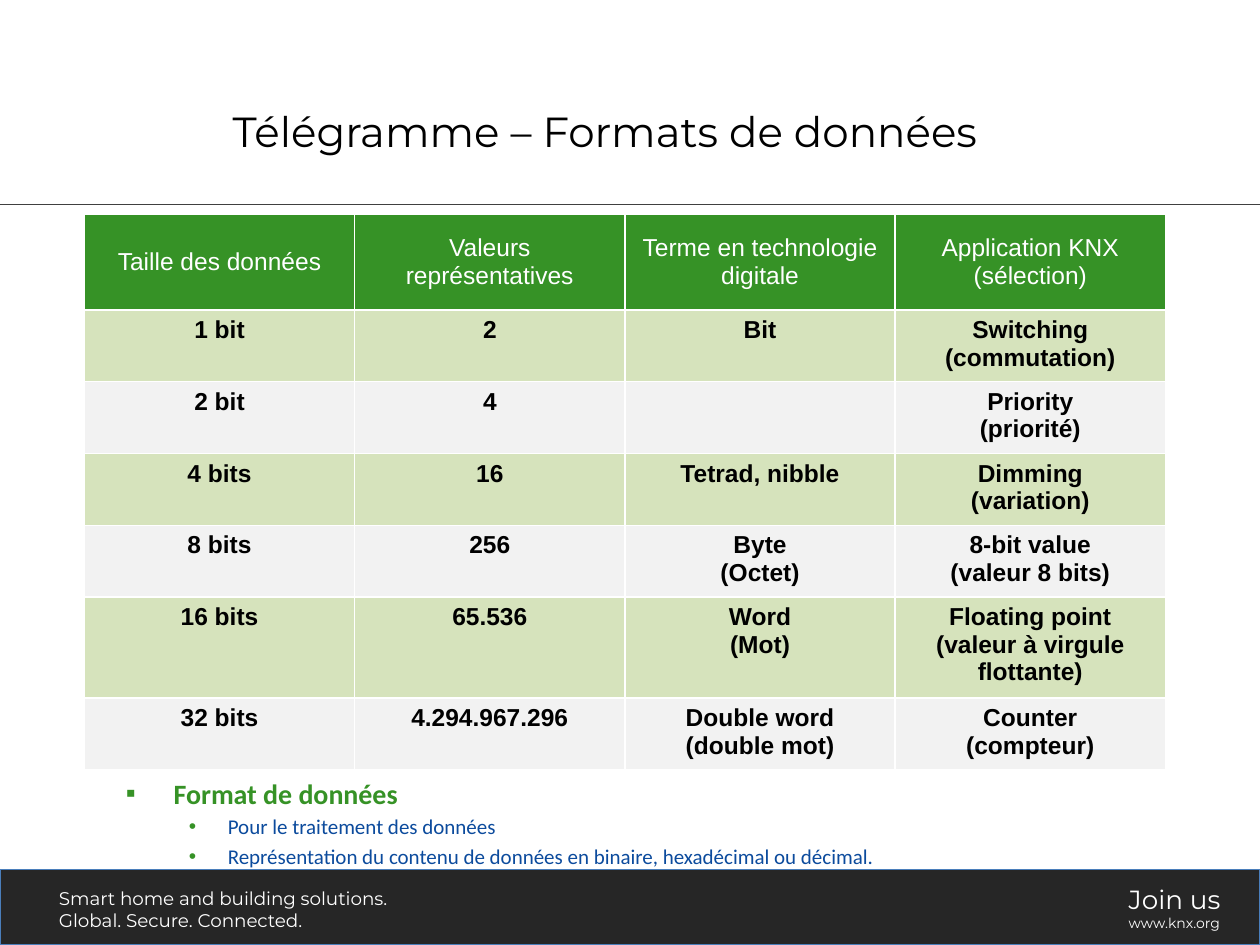
import pptx
import pptx.dml.color
import pptx.enum.shapes
import pptx.enum.text
import pptx.oxml
import pptx.oxml.ns
import pptx.util
from pptx.util import Inches

GREEN, BLUE, WHITE, BLACK = "369226", "0C4B9D", "FFFFFF", "000000"
BANDS = ("D6E3BC", "F2F2F2")
CENTER = pptx.enum.text.PP_ALIGN.CENTER
MIDDLE = pptx.enum.text.MSO_ANCHOR.MIDDLE

HEADER = ("Taille des données", "Valeurs représentatives",
          "Terme en technologie digitale", "Application KNX\n(sélection)")
ROWS = (
    ("1 bit", "2", "Bit", "Switching (commutation)"),
    ("2 bit", "4", "", "Priority\n(priorité)"),
    ("4 bits", "16", "Tetrad, nibble", "Dimming\n(variation)"),
    ("8 bits", "256", "Byte\n(Octet)", "8-bit value\n(valeur 8 bits)"),
    ("16 bits", "65.536", "Word\n(Mot)", "Floating point\n(valeur à virgule flottante)"),
    ("32 bits", "4.294.967.296", "Double word\n(double mot)", "Counter\n(compteur)"),
)
ROW_HEIGHTS = (0.76, 0.57, 0.57, 0.57, 0.57, 0.8, 0.57)


def rgb(value):
    return pptx.dml.color.RGBColor.from_string(value)


def xml(markup):
    """Parse an element of the DrawingML namespace."""
    tag, rest = markup[1:].split(" ", 1)
    return pptx.oxml.parse_xml(f"<{tag} {pptx.oxml.ns.nsdecls('a')} {rest}")


def set_font(p, name, size, color, bold=False):
    values = {"name": name, "size": pptx.util.Pt(size), "bold": bold}
    for r in p.runs:
        for key, value in values.items():
            setattr(r.font, key, value)
        r.font.color.rgb = rgb(color)


def add_text(s, box, lines):
    """Add a text box; each line is (text, font name, size, colour[, bold])."""
    tf = s.shapes.add_textbox(*map(Inches, box)).text_frame
    tf.word_wrap = True
    for i, (text, *font) in enumerate(lines):
        p = tf.paragraphs[0] if i == 0 else tf.add_paragraph()
        p.text = text
        set_font(p, *font)
    return tf


def add_rule(s, y, width):
    line = s.shapes.add_connector(pptx.enum.shapes.MSO_CONNECTOR.STRAIGHT,
                                  0, Inches(y), Inches(width), Inches(y))
    line.line.color.rgb = rgb("404040")
    line.line.width = pptx.util.Pt(0.5)
    line._element.spPr.append(xml("<a:effectLst />"))


def add_footer(s, left, top, width, height):
    bar = s.shapes.add_shape(pptx.enum.shapes.MSO_SHAPE.RECTANGLE,
                             *map(Inches, (left, top, width, height)))
    bar.shadow.inherit = False
    bar.fill.solid()
    bar.fill.fore_color.rgb = rgb("262626")
    bar.line.color.rgb = rgb("4A7EBB")
    bar.line.width = pptx.util.Pt(0.75)
    add_text(s, (left + 0.37, top + 0.09, 2.93, 0.45),
             [(text, "Montserrat", 10.5, WHITE) for text in
              ("Smart home and building solutions.", "Global. Secure. Connected.")])
    add_text(s, (left + width - 1.14, top + 0.06, 0.94, 0.51),
             [("Join us", "Montserrat", 15, WHITE),
              ("www.knx.org", "Montserrat", 8, WHITE)])


def add_title(s, box):
    tf = add_text(s, box, [("Télégramme – Formats de données", "Montserrat", 24, BLACK)])
    tf.vertical_anchor = MIDDLE
    tf.paragraphs[0].alignment = CENTER


def format_cell(cell, text, fill, color, bold):
    cell.text = text
    for p in cell.text_frame.paragraphs:
        p.alignment = CENTER
        set_font(p, "Arial", 14, color, bold)
    tcPr = cell._tc.get_or_add_tcPr()
    for side in "LRTB":
        tcPr.append(xml(f'<a:ln{side} w="12700"><a:solidFill><a:srgbClr val="{WHITE}"/>'
                        f"</a:solidFill></a:ln{side}>"))
    cell.fill.solid()
    cell.fill.fore_color.rgb = rgb(fill)


def add_format_table(s, left, top, width):
    table = s.shapes.add_table(len(ROWS) + 1, len(HEADER), Inches(left), Inches(top),
                               Inches(width), Inches(sum(ROW_HEIGHTS))).table
    table.horz_banding = False
    for column in table.columns:
        column.width = Inches(width / len(HEADER))
    for i, (texts, height) in enumerate(zip((HEADER, *ROWS), ROW_HEIGHTS)):
        table.rows[i].height = Inches(height)
        for j, text in enumerate(texts):
            cell = table.cell(i, j)
            if i == 0:
                format_cell(cell, text, GREEN, WHITE, False)
                cell.vertical_anchor = MIDDLE
            else:
                format_cell(cell, text, BANDS[(i - 1) % 2], BLACK, True)


def add_bullets(s, box):
    tf = add_text(s, box, [
        ("Format de données", "Calibri", 16, GREEN, True),
        ("Pour le traitement des données", "Calibri", 12, BLUE),
        ("Représentation du contenu de données en binaire, hexadécimal ou décimal.",
         "Calibri", 12, BLUE),
    ])
    for i, p in enumerate(tf.paragraphs):
        level, margin, indent, bullet = (1, 0.81, -0.31, "•") if i else (0, 0.38, -0.38, "▪")
        p.level = level
        if i:
            p.space_before = pptx.util.Pt(2.4)
        pPr = p._p.get_or_add_pPr()
        pPr.set("marL", str(Inches(margin)))
        pPr.set("indent", str(Inches(indent)))
        pPr.append(xml(f'<a:buClr ><a:srgbClr val="{GREEN}"/></a:buClr>'))
        pPr.append(xml('<a:buFont typeface="Arial"/>'))
        pPr.append(xml(f'<a:buChar char="{bullet}"/>'))


def main():
    prs = pptx.Presentation()
    prs.slide_width, prs.slide_height = Inches(10), Inches(7.5)
    s = prs.slides.add_slide(prs.slide_layouts[6])
    add_footer(s, 0, 6.9, 10, 0.6)
    add_rule(s, 1.62, 10)
    add_title(s, (0.98, 0.76, 7.64, 0.55))
    add_format_table(s, 0.67, 1.7, 8.58)
    add_bullets(s, (0.9, 6.11, 8.03, 1.02))
    prs.save("out.pptx")


if __name__ == "__main__":
    main()
